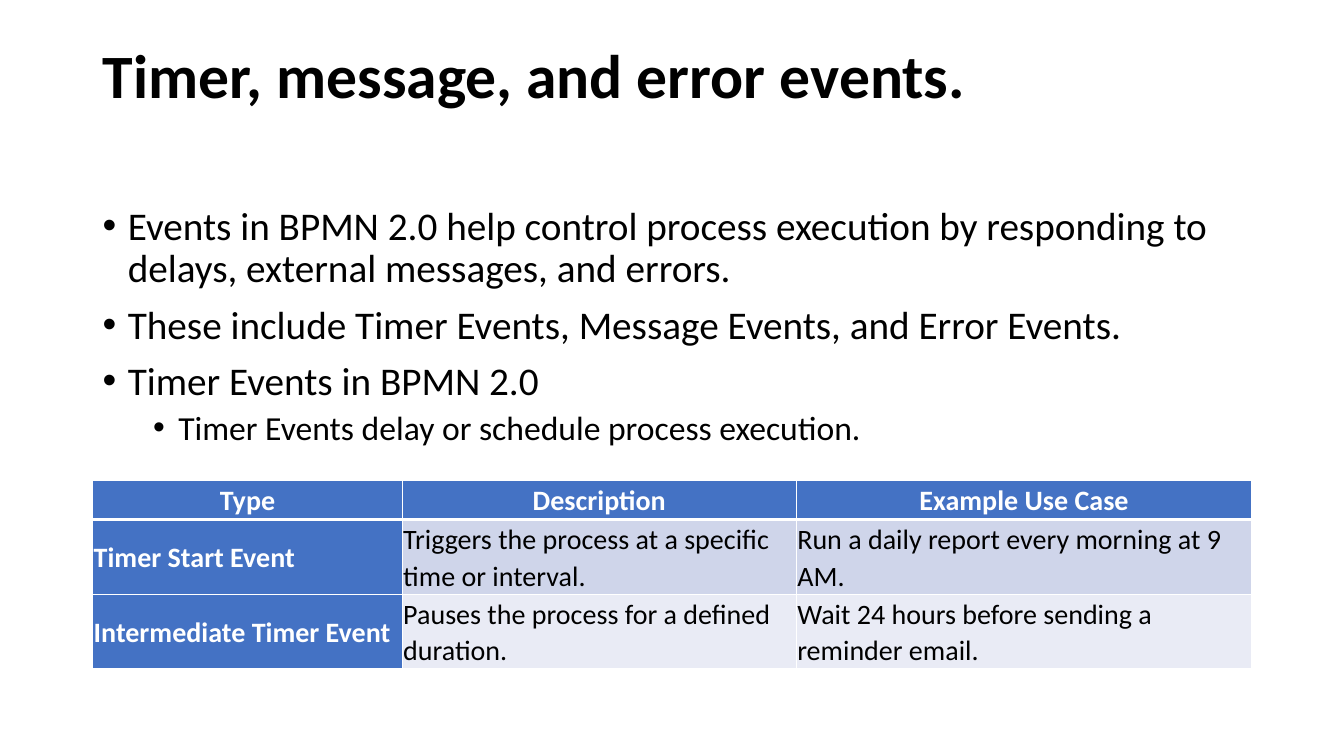
from dataclasses import dataclass

from lxml.etree import SubElement
from pptx import Presentation
from pptx.dml.color import RGBColor
from pptx.enum.text import MSO_ANCHOR as Anchor, MSO_AUTO_SIZE as AutoSize, PP_ALIGN as Align
from pptx.oxml.ns import qn
from pptx.util import Emu, Inches, Pt

FONT = "Calibri"
BLACK, WHITE, BLUE = "000000", "FFFFFF", "4472C4"
BAND_FILLS = ("CFD5EA", "E9EBF5")
COLUMN_SHARES = (26.7, 34, 39.3)
ROW_SHARES = (5.1, 9.9, 9.9)
TABLE_ROWS = (
    ("Type", "Description", "Example Use Case"),
    ("Timer Start Event", "Triggers the process at a specific time or interval.",
     "Run a daily report every morning at 9 AM."),
    ("Intermediate Timer Event", "Pauses the process for a defined duration.",
     "Wait 24 hours before sending a reminder email."),
)


@dataclass(frozen=True)
class Area:
    left: float
    top: float
    width: float
    height: float


@dataclass(frozen=True)
class Bullet:
    text: str
    level: int = 0


TITLE_AREA = Area(6.9, 5.33, 86.25, 19.33)
BODY_AREA = Area(6.9, 26.67, 86.25, 63.47)
TABLE_AREA = Area(6.9, 63.6, 86.25, sum(ROW_SHARES))
BULLETS = (
    Bullet("Events in BPMN 2.0 help control process execution by responding to "
           "delays, external messages, and errors."),
    Bullet("These include Timer Events, Message Events, and Error Events."),
    Bullet("Timer Events in BPMN 2.0"),
    Bullet("Timer Events delay or schedule process execution.", 1),
)


def color(value: str) -> RGBColor:
    return RGBColor.from_string(value)


def share(percent: float, length: int) -> Emu:
    return Emu(round(length * percent / 100))


def place(deck, area: Area) -> tuple:
    return (share(area.left, deck.slide_width), share(area.top, deck.slide_height),
            share(area.width, deck.slide_width), share(area.height, deck.slide_height))


def write(para, text: str, size: float, ink: str = BLACK, bold: bool = False,
          align=Align.LEFT, line: float = 0.9, before: float = 0, after: float = 0) -> None:
    para.alignment = align
    para.line_spacing = line
    para.space_before, para.space_after = Pt(before), Pt(after)
    span = para.add_run()
    span.text = text
    span.font.name, span.font.size, span.font.bold = FONT, Pt(size), bold
    span.font.color.rgb = color(ink)


def add_title(deck, page) -> None:
    title = page.shapes.title
    title.left, title.top, title.width, title.height = place(deck, TITLE_AREA)
    frame = title.text_frame
    frame.word_wrap, frame.auto_size = True, AutoSize.NONE
    frame.vertical_anchor = Anchor.TOP
    write(frame.paragraphs[0], "Timer, message, and error events.", 44, bold=True)


def add_bullets(deck, page) -> None:
    frame = page.shapes.add_textbox(*place(deck, BODY_AREA)).text_frame
    frame.word_wrap = True
    for index, bullet in enumerate(BULLETS):
        para = frame.add_paragraph() if index else frame.paragraphs[0]
        para.level = bullet.level
        write(para, bullet.text, 28 - 4 * bullet.level, before=10 - 5 * bullet.level)
        props = para._p.get_or_add_pPr()
        props.set("marL", str(Inches(0.25 + 0.5 * bullet.level)))
        props.set("indent", str(Inches(-0.25)))
        SubElement(props, qn("a:buFont"), typeface="Arial")
        SubElement(props, qn("a:buChar"), char="•")


def add_borders(cell, header: bool, below_header: bool) -> None:
    props = cell._tc.get_or_add_tcPr()
    for side in "LRTB":
        thick = (header and side == "B") or (below_header and side == "T")
        border = SubElement(props, qn(f"a:ln{side}"), w=str(Pt(3 if thick else 1)))
        fill = SubElement(border, qn("a:solidFill"))
        SubElement(fill, qn("a:srgbClr"), val=WHITE)


def add_event_table(deck, page) -> None:
    frame = page.shapes.add_table(len(TABLE_ROWS), len(COLUMN_SHARES), *place(deck, TABLE_AREA))
    table = frame.table
    table_width = frame.width
    for column, percent in zip(table.columns, COLUMN_SHARES):
        column.width = share(percent, table_width)
    for row, percent in zip(table.rows, ROW_SHARES):
        row.height = share(percent, deck.slide_height)
    for row_index, texts in enumerate(TABLE_ROWS):
        for column_index, text in enumerate(texts):
            cell = table.cell(row_index, column_index)
            header = row_index == 0
            strong = header or column_index == 0
            cell.margin_left = cell.margin_right = Inches(0.01)
            cell.margin_top = cell.margin_bottom = Inches(0.01)
            cell.vertical_anchor = Anchor.MIDDLE
            add_borders(cell, header, row_index == 1)
            cell.fill.solid()
            cell.fill.fore_color.rgb = color(BLUE if strong else BAND_FILLS[row_index - 1])
            write(cell.text_frame.paragraphs[0], text, 20, WHITE if strong else BLACK, strong,
                  Align.CENTER if header else Align.LEFT, 1.07, after=8)


def main() -> None:
    deck = Presentation()
    deck.slide_width, deck.slide_height = Inches(13.33), Inches(7.5)
    page = deck.slides.add_slide(deck.slide_layouts[5])
    add_title(deck, page)
    add_bullets(deck, page)
    add_event_table(deck, page)
    deck.save("out.pptx")


if __name__ == "__main__":
    main()
